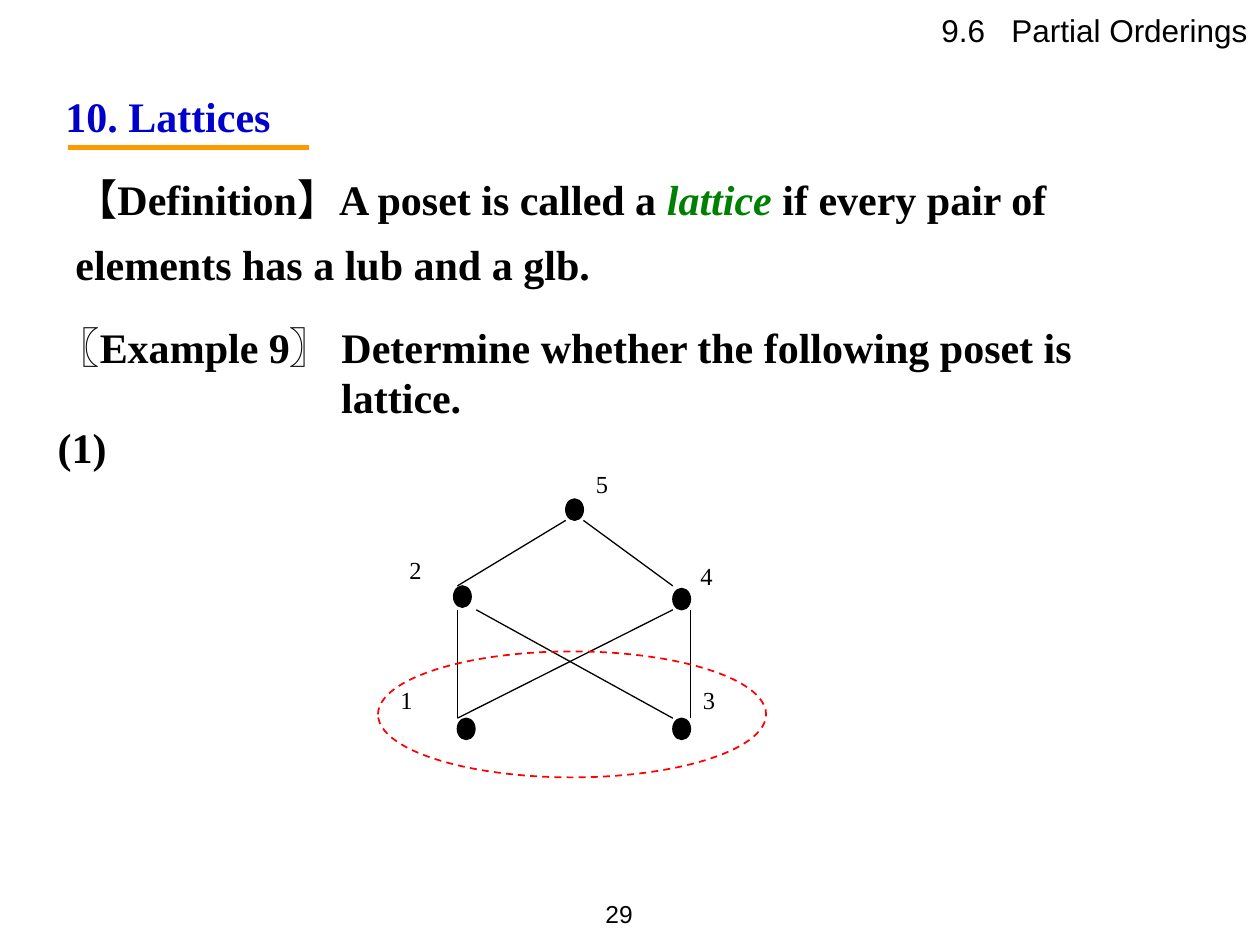
from lxml.etree import SubElement as Sub
from pptx import Presentation
from pptx.dml.color import RGBColor
from pptx.enum.dml import MSO_LINE as Dash
from pptx.enum.shapes import MSO_CONNECTOR as Conn, MSO_SHAPE as Shape
from pptx.enum.text import MSO_ANCHOR as Anchor, PP_ALIGN as Align
from pptx.oxml.ns import qn
from pptx.util import Inches, Pt

BLACK = RGBColor(0, 0, 0)
BLUE = RGBColor(0, 0, 0xCC)
GREEN = RGBColor(0, 0x80, 0)
ORANGE = RGBColor(0xFF, 0x99, 0)
RED = RGBColor(0xFF, 0, 0)
SERIF, SANS, CJK = "Times New Roman", "Arial", "Noto Sans CJK SC"

BODY = dict(size=24, bold=True)
HEAD = dict(BODY, color=BLUE)
TERM = dict(BODY, color=GREEN, italic=True)
MARK = dict(BODY, font=CJK)
TAG = dict(size=14)
TOP = dict(size=18, font=SANS)
FOOT = dict(size=14, font=SANS)

HANG = dict(left=0.5, first=-0.5)
TEXTS = [
    ((4.45, 7, 0.67, 0.5), Anchor.MIDDLE, [
        (dict(align=Align.RIGHT), [("29", FOOT)])]),
    ((0.42, 0.67, 8.83, 0.5), Anchor.TOP, [
        (dict(HANG, align=Align.JUSTIFY), [("10. Lattices", HEAD)])]),
    ((0.36, 2.5, 8.92, 1.3), Anchor.TOP, [
        (HANG, [("〖", MARK), ("Example 9", BODY), ("〗", MARK),
                (" Determine whether the following poset is", BODY)]),
        (dict(left=2.25), [("lattice.", BODY)]),
        (HANG, [("(1)", BODY)])]),
    ((0.5, 1.33, 8.92, 1.03), Anchor.TOP, [
        (HANG, [("【", MARK), ("Definition", BODY), ("】", MARK),
                ("A poset is called a ", BODY), ("lattice ", TERM),
                ("if every pair of", BODY)]),
        (dict(HANG, before=8), [("elements has a lub and a glb.", BODY)])]),
    ((5.25, 0.04, 4.75, 0.4), Anchor.TOP, [
        (dict(align=Align.RIGHT), [("9.6", TOP), (" ", dict(TOP, space=10)),
                                   ("Partial Orderings", TOP)])]),
]

DOT = (0.14, 0.17)
NODES = [
    ("5", (4.49, 3.96), (4.63, 3.67)),
    ("2", (3.6, 4.65), (3.15, 4.36)),
    ("4", (5.34, 4.67), (5.46, 4.4)),
    ("1", (3.63, 5.7), (3.08, 5.39)),
    ("3", (5.34, 5.7), (5.48, 5.39)),
]
EDGES = [
    ((3.63, 4.84), (3.63, 5.7)),
    ((3.63, 5.7), (5.34, 4.84)),
    ((3.78, 4.84), (5.34, 5.7)),
    ((5.48, 5.7), (5.48, 4.84)),
    ((3.63, 4.65), (4.49, 4.13)),
    ((4.63, 4.13), (5.34, 4.65)),
]


def add_run(para, text, size, font=SERIF, color=BLACK, bold=False,
            italic=False, space=0):
    run = para.add_run()
    run.text = text
    face = run.font
    face.size, face.name = Pt(size), font
    face.bold, face.italic = bold, italic
    face.color.rgb = color
    props = run._r.get_or_add_rPr()
    if font == CJK:
        Sub(props, qn("a:ea")).set("typeface", CJK)
    if space:
        props.set("spc", str(space * 100))


def add_text(box, anchor, paras):
    frame = slide.shapes.add_textbox(*map(Inches, box)).text_frame
    frame.word_wrap = True
    frame.vertical_anchor = anchor
    for i, (form, runs) in enumerate(paras):
        para = frame.add_paragraph() if i else frame.paragraphs[0]
        para.alignment = form.get("align", Align.LEFT)
        para.space_before = Pt(form.get("before", 0))
        props = para._p.get_or_add_pPr()
        props.set("marL", str(Inches(form.get("left", 0))))
        props.set("indent", str(Inches(form.get("first", 0))))
        for text, style in runs:
            add_run(para, text, **style)


def add_line(start, end, color=BLACK, width=0.75):
    line = slide.shapes.add_connector(
        Conn.STRAIGHT, *map(Inches, start + end))
    line.line.color.rgb = color
    line.line.width = Pt(width)
    Sub(line._element.spPr, qn("a:effectLst"))


def add_oval(box, color, width, solid=True):
    oval = slide.shapes.add_shape(Shape.OVAL, *map(Inches, box))
    oval.shadow.inherit = False
    oval.line.color.rgb = color
    oval.line.width = Pt(width)
    if solid:
        oval.fill.solid()
        oval.fill.fore_color.rgb = color
    else:
        oval.fill.background()
        oval.line.dash_style = Dash.DASH


deck = Presentation()
deck.slide_width, deck.slide_height = Inches(10), Inches(7.5)
slide = deck.slides.add_slide(deck.slide_layouts[6])

for item in TEXTS:
    add_text(*item)
add_line((0.54, 1.17), (2.45, 1.17), ORANGE, 3)
for name, spot, tag in NODES:
    add_oval(spot + DOT, BLACK, 0.75)
for start, end in EDGES:
    add_line(start, end)
for name, spot, tag in NODES:
    add_text(tag + (0.85, 0.86), Anchor.TOP,
             [(dict(align=Align.JUSTIFY), [(name, TAG)])])
add_oval((3, 5.17, 3.08, 1), RED, 1, solid=False)

deck.save("out.pptx")
